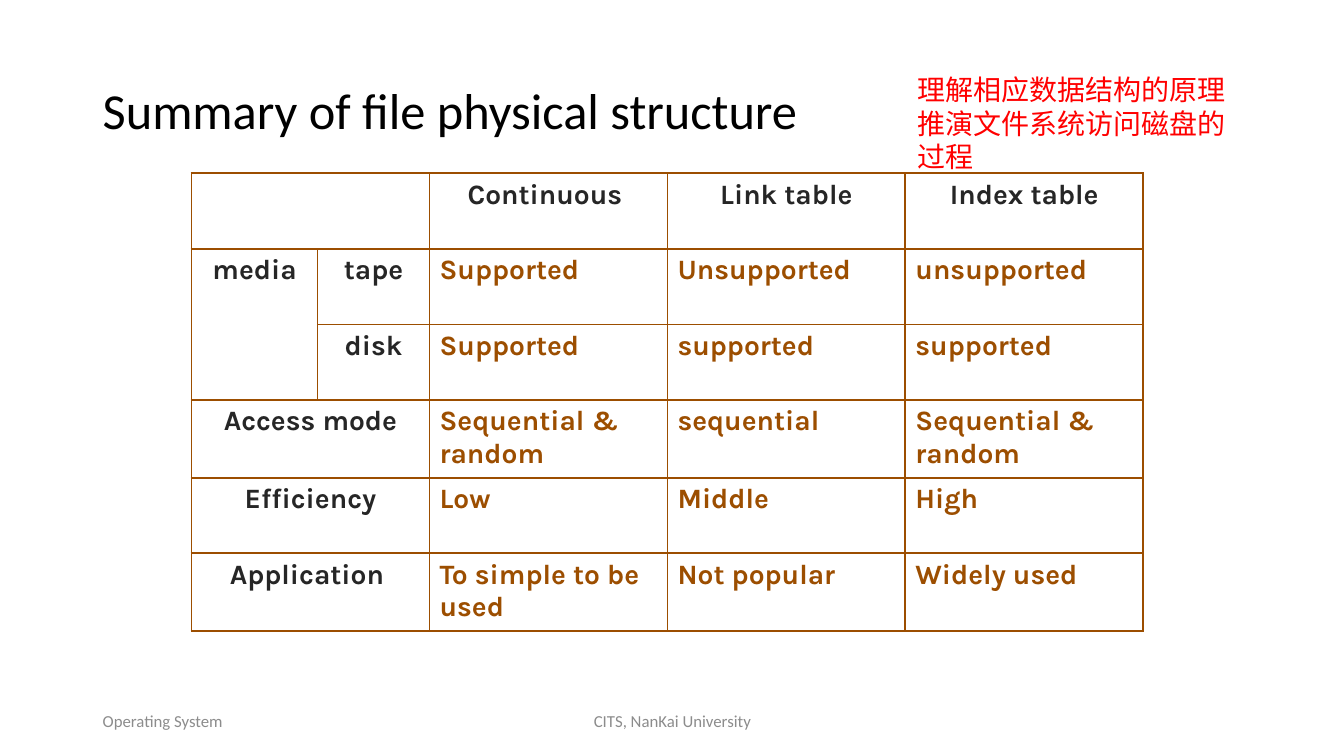
from lxml.etree import SubElement
from pptx import Presentation
from pptx.dml.color import RGBColor
from pptx.enum.text import MSO_ANCHOR, PP_ALIGN
from pptx.oxml.ns import qn
from pptx.util import Inches, Pt

BLACK = RGBColor(0x00, 0x00, 0x00)
WHITE = RGBColor(0xFF, 0xFF, 0xFF)
GRAY = RGBColor(0x8C, 0x8C, 0x8C)
DARK = RGBColor(0x26, 0x26, 0x26)
BROWN = RGBColor(0x9C, 0x4E, 0x00)
RED = RGBColor(0xFF, 0x00, 0x00)

MARGIN = 0.92
FOOTER_TOP, FOOTER_HEIGHT = 6.95, 0.4
TABLE_LEFT, TABLE_TOP = 1.9, 1.72
COLUMN = 2.36
MEDIA_COLUMN = 1.25
COLUMNS = [MEDIA_COLUMN, COLUMN - MEDIA_COLUMN] + [COLUMN] * 3
ROWS = [0.75, 0.75, 0.75, 0.77, 0.75, 0.77]


def write(frame, text, size=20, font="Calibri", color=BLACK, bold=False,
          align=PP_ALIGN.LEFT, anchor=MSO_ANCHOR.TOP, line_spacing=None):
    """Fill a text frame, one paragraph for each line of text."""
    frame.word_wrap = True
    frame.vertical_anchor = anchor
    for number, line in enumerate(text.split("\n")):
        paragraph = frame.add_paragraph() if number else frame.paragraphs[0]
        paragraph.alignment = align
        paragraph.line_spacing = line_spacing
        run = paragraph.add_run()
        run.text = line
        run.font.size = Pt(size)
        run.font.bold = bold
        run.font.color.rgb = color
        run.font.name = font
        SubElement(run.font._element, qn("a:ea"), typeface=font)


def draw_borders(cell, **widths):
    """Draw the four cell borders, 1.5 pt unless a side (L, R, T, B) says otherwise."""
    properties = cell._tc.get_or_add_tcPr()
    for side in "LRTB":
        width = Pt(widths.get(side, 1.5))
        line = SubElement(properties, qn(f"a:ln{side}"), w=str(width))
        SubElement(SubElement(line, qn("a:solidFill")), qn("a:srgbClr"), val=str(BROWN))


deck = Presentation()
deck.slide_width, deck.slide_height = Inches(13.33), Inches(7.5)
slide = deck.slides.add_slide(deck.slide_layouts[6])

# Title and footers
middle = MSO_ANCHOR.MIDDLE
title = slide.shapes.add_textbox(Inches(MARGIN), Inches(0.4), Inches(11.5), Inches(1.45))
write(title.text_frame, "Summary of file physical structure",
      size=36, anchor=middle, line_spacing=0.9)

for text, left, width, align in [
    ("Operating System", MARGIN, 3, PP_ALIGN.LEFT),
    ("CITS, NanKai University", MARGIN + 3.5, 4.5, PP_ALIGN.CENTER),
]:
    footer = slide.shapes.add_textbox(
        Inches(left), Inches(FOOTER_TOP), Inches(width), Inches(FOOTER_HEIGHT))
    write(footer.text_frame, text, size=12, color=GRAY, align=align, anchor=middle)

# Comparison table
comparison = [
    ["", "", "Continuous ", "Link table", "Index table"],
    ["media", "tape", "Supported", "Unsupported", "unsupported"],
    ["", "disk", "Supported", "supported", "supported"],
    ["Access mode", "", "Sequential & random", "sequential", "Sequential & random"],
    ["Efficiency", "", "Low", "Middle", "High"],
    ["Application ", "", "To simple to be used", "Not popular", "Widely used"],
]
table = slide.shapes.add_table(
    len(ROWS), len(COLUMNS), Inches(TABLE_LEFT), Inches(TABLE_TOP),
    Inches(sum(COLUMNS)), Inches(sum(ROWS))).table
table.first_row = table.horz_banding = False
for column, width in zip(table.columns, COLUMNS):
    column.width = Inches(width)
for row, height in zip(table.rows, ROWS):
    row.height = Inches(height)

for r, entries in enumerate(comparison):
    for c, entry in enumerate(entries):
        cell = table.cell(r, c)
        thin_side = {0: "R", 1: "L"}.get(c) if r in (1, 2) else None
        draw_borders(cell, **({thin_side: 1} if thin_side else {}))
        cell.fill.solid()
        cell.fill.fore_color.rgb = WHITE
        if entry:
            heading = r == 0 or c < 2
            write(cell.text_frame, entry, font="Karla", bold=True,
                  color=DARK if heading else BROWN,
                  align=PP_ALIGN.CENTER if heading else PP_ALIGN.LEFT)

for r in (0, 3, 4, 5):
    table.cell(r, 0).merge(table.cell(r, 1))
table.cell(1, 0).merge(table.cell(2, 0))

# Study hint
hint = slide.shapes.add_textbox(Inches(9), Inches(0.67), Inches(3.41), Inches(1.11))
write(hint.text_frame, "理解相应数据结构的原理\n推演文件系统访问磁盘的过程",
      font="Noto Sans CJK SC", color=RED)

deck.save("out.pptx")
